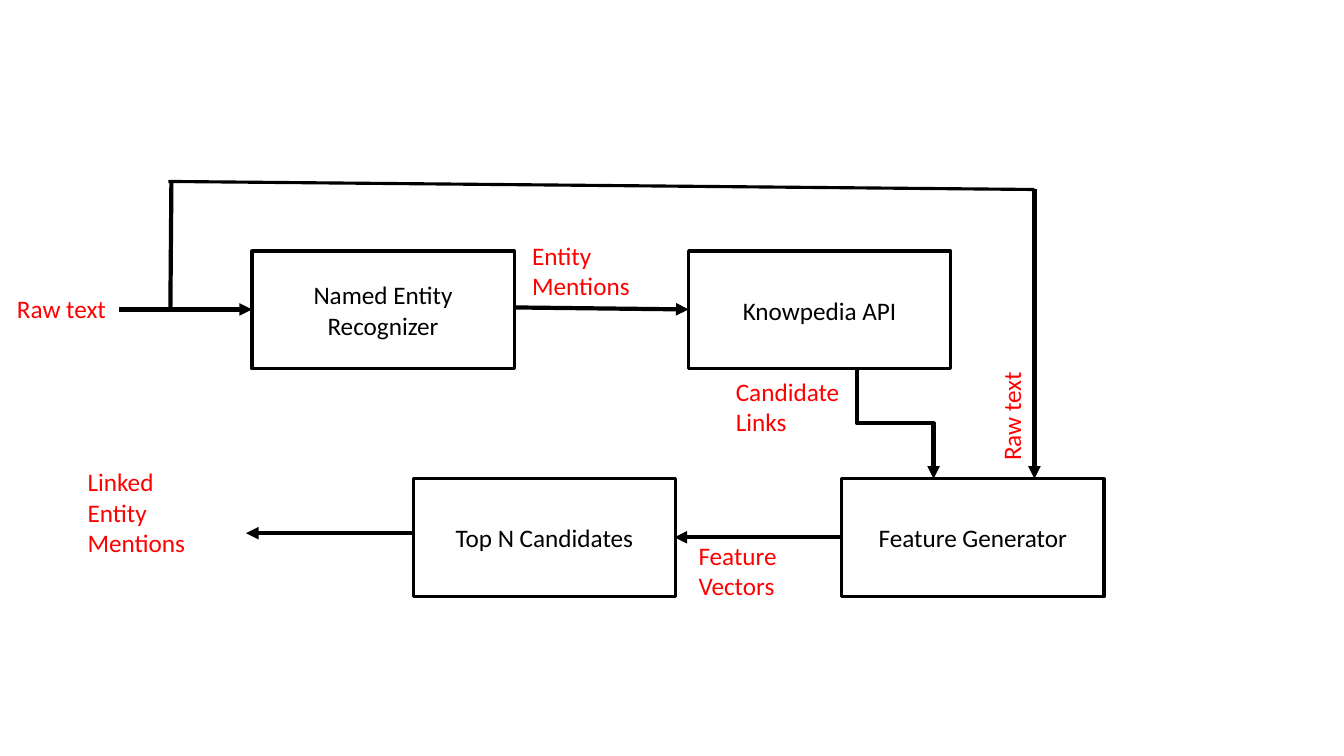
from dataclasses import dataclass

from lxml import etree
from pptx import Presentation
from pptx import util as u
from pptx.dml.color import RGBColor
from pptx.enum import shapes, text
from pptx.oxml import ns

PX = 9144  # EMU per px, 100 px to the inch
BLACK, RED = "000000", "FF0000"
BOX_WIDTH, BOX_HEIGHT = 260, 117
LABEL_WIDTH = 160


@dataclass
class Box:
    left: int
    top: int
    caption: str


@dataclass
class Label:
    left: int
    top: int
    height: int
    caption: str
    rotation: int = 0


@dataclass
class Flow:
    start: tuple[int, int]
    end: tuple[int, int]
    arrow: bool = True
    bent: bool = False
    weight: float = 3


BOXES = [
    Box(250, 249, "Named Entity Recognizer"),
    Box(683, 249, "Knowpedia API"),
    Box(835, 475, "Feature Generator"),
    Box(410, 475, "Top N Candidates"),
]

FLOWS = [
    Flow((118, 307), (250, 307)),
    Flow((510, 305), (683, 307)),
    Flow((850, 365), (926, 475), bent=True),
    Flow((169, 307), (170, 180), arrow=False),
    Flow((167, 180), (1026, 188), arrow=False, weight=2.25),
    Flow((1026, 188), (1026, 475)),
    Flow((835, 533), (669, 533)),
    Flow((410, 529), (244, 529)),
]

LABELS = [
    Label(518, 233, 71, "Entity Mentions"),
    Label(7, 286, 40, "Raw text"),
    Label(77, 458, 101, "Linked\nEntity Mentions"),
    Label(923, 367, 40, "Raw text", rotation=270),
    Label(720, 368, 71, "Candidate Links"),
    Label(683, 531, 71, "Feature Vectors"),
]


def px(value: float) -> int:
    return round(value * PX)


def color(value: str) -> RGBColor:
    return RGBColor.from_string(value)


def write(shape, caption: str, font_color: str, align) -> None:
    frame = shape.text_frame
    frame.text = caption
    frame.word_wrap = True
    for paragraph in frame.paragraphs:
        paragraph.alignment = align
        for run in paragraph.runs:
            run.font.name = "Calibri"
            run.font.size = u.Pt(18)
            run.font.color.rgb = color(font_color)


def set_line(line, weight: float) -> None:
    line.color.rgb = color(BLACK)
    line.width = u.Pt(weight)


def draw_box(slide, box: Box) -> None:
    shape = slide.shapes.add_shape(
        shapes.MSO_SHAPE.RECTANGLE,
        px(box.left), px(box.top), px(BOX_WIDTH), px(BOX_HEIGHT),
    )
    shape.shadow.inherit = False
    shape.fill.background()
    set_line(shape.line, 2.25)
    write(shape, box.caption, BLACK, text.PP_ALIGN.CENTER)
    shape.text_frame.vertical_anchor = text.MSO_ANCHOR.MIDDLE


def draw_flow(slide, flow: Flow) -> None:
    kind = shapes.MSO_CONNECTOR.STRAIGHT
    (x1, y1), (x2, y2) = flow.start, flow.end
    if flow.bent:
        # Swap the sides about the centre; the quarter turn below restores them
        kind = shapes.MSO_CONNECTOR.ELBOW
        center_x, center_y = (x1 + x2) / 2, (y1 + y2) / 2
        half_x, half_y = (x2 - x1) / 2, (y2 - y1) / 2
        x1, x2 = center_x + half_y, center_x - half_y
        y1, y2 = center_y - half_x, center_y + half_x
    connector = slide.shapes.add_connector(kind, px(x1), px(y1), px(x2), px(y2))
    set_line(connector.line, flow.weight)
    properties = connector._element.spPr
    if flow.bent:
        properties.find(ns.qn("a:xfrm")).set("rot", str(270 * 60000))
    if flow.arrow:
        line = properties.find(ns.qn("a:ln"))
        etree.SubElement(line, ns.qn("a:tailEnd"), type="triangle")
    etree.SubElement(properties, ns.qn("a:effectLst"))


def draw_label(slide, label: Label) -> None:
    shape = slide.shapes.add_textbox(
        px(label.left), px(label.top), px(LABEL_WIDTH), px(label.height)
    )
    shape.rotation = label.rotation
    write(shape, label.caption, RED, text.PP_ALIGN.LEFT)
    shape.text_frame.auto_size = text.MSO_AUTO_SIZE.SHAPE_TO_FIT_TEXT


def main() -> None:
    presentation = Presentation()
    presentation.slide_width = px(1333)
    presentation.slide_height = px(750)
    slide = presentation.slides.add_slide(presentation.slide_layouts[6])

    # Processing stages
    for box in BOXES:
        draw_box(slide, box)
    # Data flow between stages
    for flow in FLOWS:
        draw_flow(slide, flow)
    # Names of the data passed along
    for label in LABELS:
        draw_label(slide, label)

    presentation.save("out.pptx")


if __name__ == "__main__":
    main()
